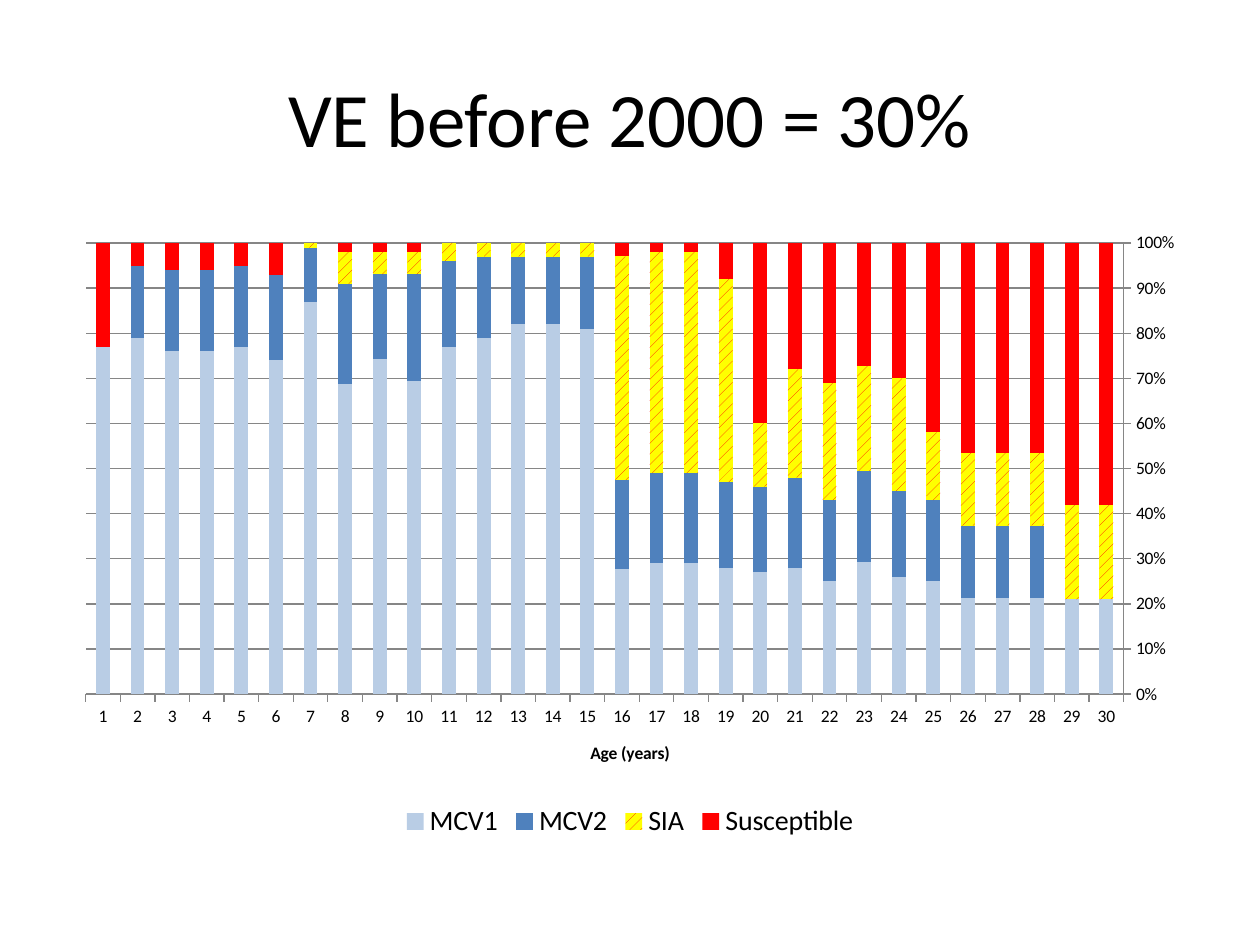
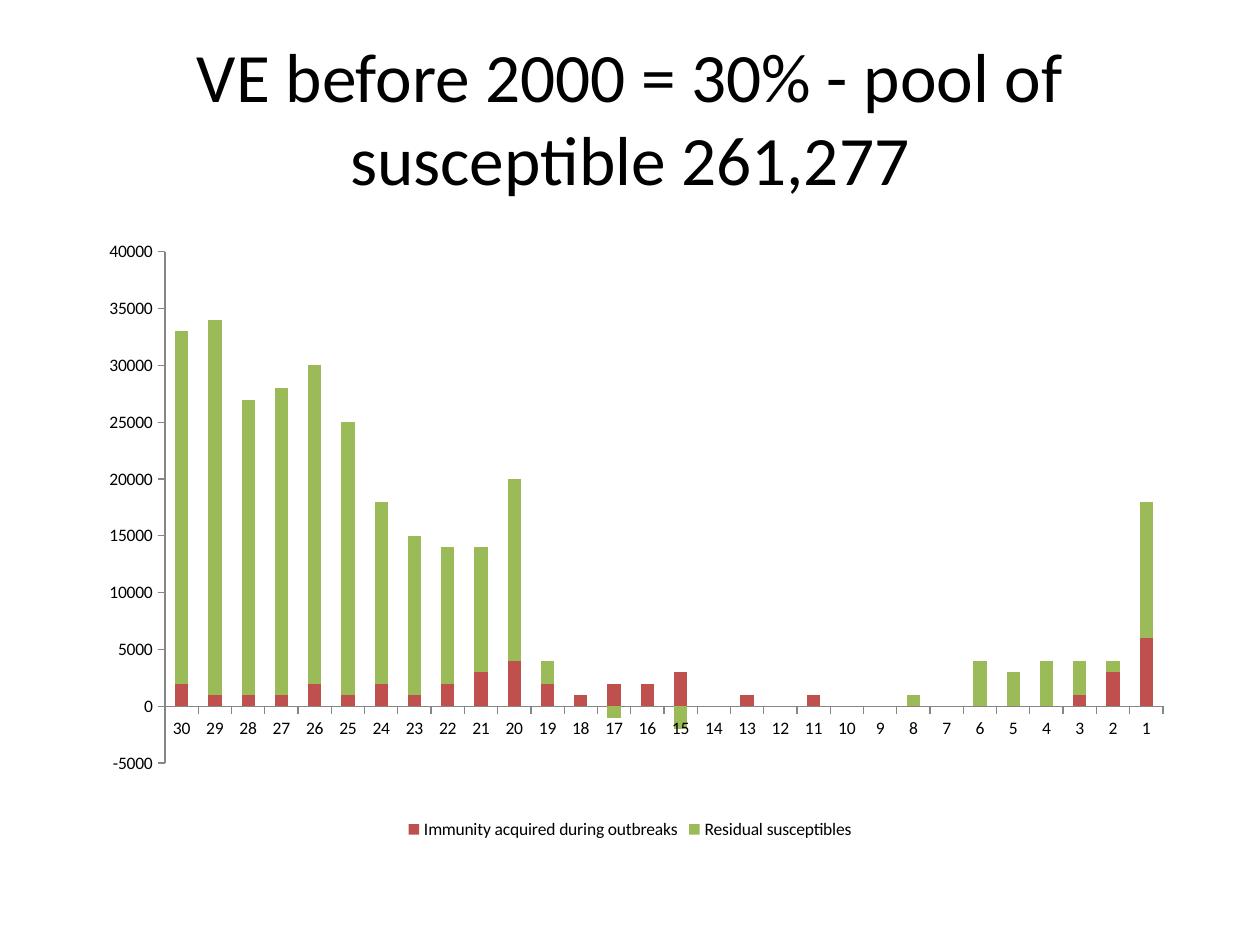
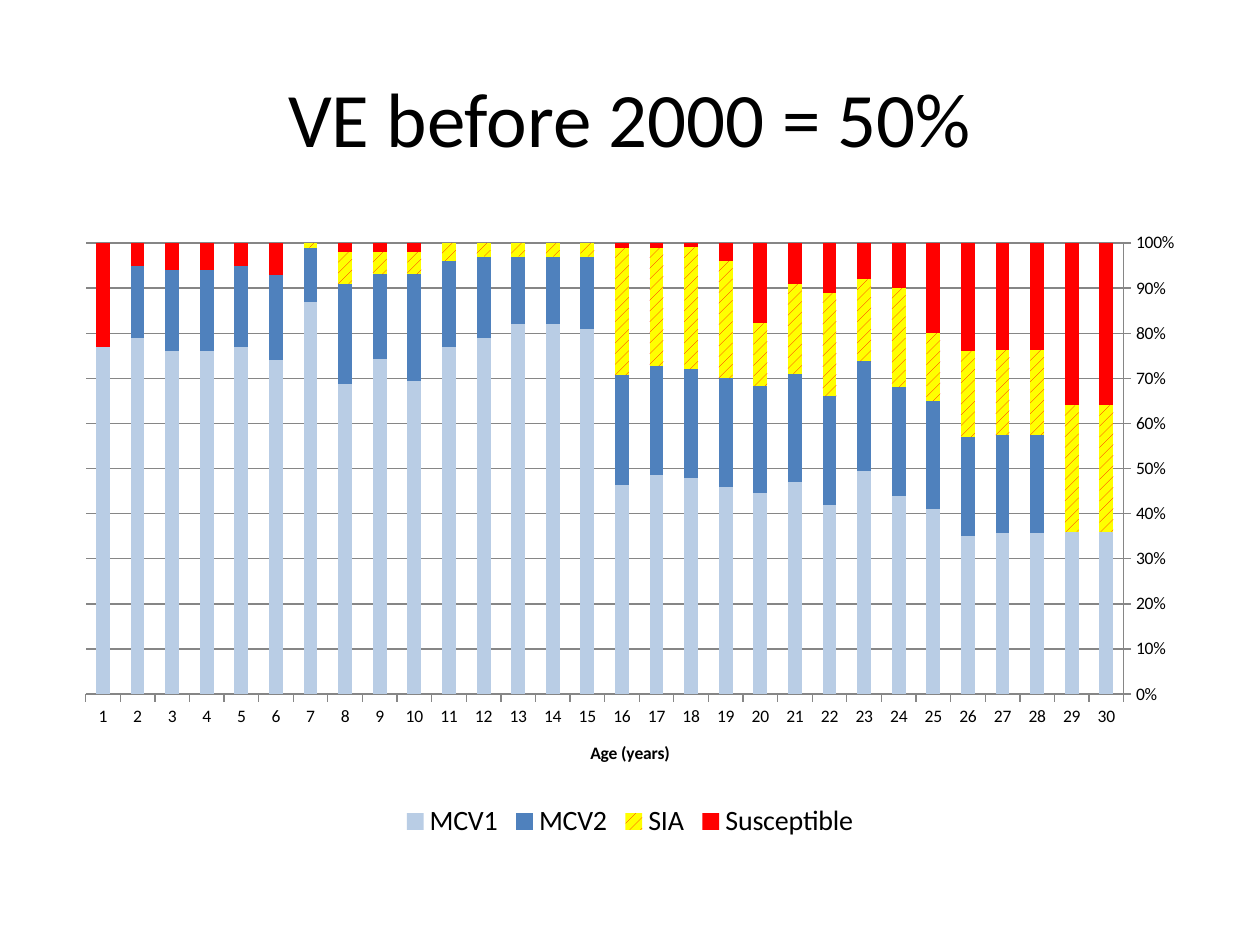
from dataclasses import dataclass

from lxml.etree import SubElement
from pptx import Presentation
from pptx.chart.data import CategoryChartData
from pptx.dml.color import RGBColor
from pptx.enum.chart import XL_CHART_TYPE, XL_LEGEND_POSITION, XL_TICK_MARK
from pptx.enum.dml import MSO_PATTERN
from pptx.enum.text import MSO_ANCHOR, PP_ALIGN
from pptx.oxml.ns import qn
from pptx.util import Cm, Pt


@dataclass(frozen=True)
class Theme:
    font: str = "Calibri"
    text: str = "000000"
    axis: str = "868686"
    first_dose: str = "B9CDE5"
    second_dose: str = "4F81BD"
    campaign: str = "FFFF00"
    susceptible: str = "FF0000"
    outbreak: str = "C0504D"
    residual: str = "9BBB59"
    title_size: float = 44
    long_title_size: float = 39.6
    chart_size: float = 10
    large_legend_size: float = 16


THEME = Theme()
LEFT, WIDTH = Cm(1.27), Cm(22.86)
AGES = [str(age) for age in range(30, 0, -1)]


def rgb(code):
    return RGBColor.from_string(code)


class Deck:
    def __init__(self, theme):
        self.theme = theme
        self.presentation = Presentation()
        self.presentation.slide_width = Cm(25.4)
        self.presentation.slide_height = Cm(19.05)
        self.slide = None

    def add_slide(self):
        blank = self.presentation.slide_layouts[6]
        self.slide = self.presentation.slides.add_slide(blank)

    def style_font(self, font, size, bold=False):
        font.name = self.theme.font
        font.size = Pt(size)
        font.bold = bold
        font.color.rgb = rgb(self.theme.text)

    def title(self, wording, size):
        frame = self.slide.shapes.add_textbox(
            LEFT, Cm(0.76), WIDTH, Cm(3.18)).text_frame
        frame.word_wrap = True
        frame.vertical_anchor = MSO_ANCHOR.MIDDLE
        frame.text = wording
        heading = frame.paragraphs[0]
        heading.alignment = PP_ALIGN.CENTER
        self.style_font(heading.runs[0].font, size)

    def stacked_columns(self, kind, series, colours, legend_size):
        data = CategoryChartData()
        data.categories = AGES
        for label, values in series.items():
            data.add_series(label, values)
        chart = self.slide.shapes.add_chart(
            kind, LEFT, Cm(4.45), WIDTH, Cm(12.57), data).chart
        chart.has_title = False
        self.style_font(chart.font, self.theme.chart_size)
        chart.has_legend = True
        chart.legend.position = XL_LEGEND_POSITION.BOTTOM
        chart.legend.include_in_layout = False
        self.style_font(chart.legend.font, legend_size)
        plot = chart.plots[0]
        plot.gap_width = 150
        plot.overlap = 100
        plot.vary_by_categories = False
        for columns, colour in zip(plot.series, colours):
            columns.invert_if_negative = False
            columns.format.fill.solid()
            columns.format.fill.fore_color.rgb = rgb(colour)
        for axis in (chart.category_axis, chart.value_axis):
            axis.major_tick_mark = XL_TICK_MARK.OUTSIDE
            axis.minor_tick_mark = XL_TICK_MARK.NONE
            axis.has_major_gridlines = False
            self.style_line(axis.format.line)
        return chart

    def style_line(self, line):
        line.color.rgb = rgb(self.theme.axis)
        line.width = Pt(0.75)

    def immunity_chart(self, series):
        theme = self.theme
        chart = self.stacked_columns(
            XL_CHART_TYPE.COLUMN_STACKED_100, series,
            (theme.first_dose, theme.second_dose, theme.campaign,
             theme.susceptible), theme.large_legend_size)
        hatching = chart.plots[0].series[2].format.fill
        hatching.patterned()
        hatching.pattern = MSO_PATTERN.DASHED_UPWARD_DIAGONAL
        hatching.fore_color.rgb = rgb(theme.susceptible)
        hatching.back_color.rgb = rgb(theme.campaign)
        ages, shares = chart.category_axis, chart.value_axis
        ages.reverse_order = True
        caption = ages.axis_title.text_frame
        caption.text = "Age (years)"
        self.style_font(caption.paragraphs[0].runs[0].font,
                        theme.chart_size, bold=True)
        shares.has_major_gridlines = True
        self.style_line(shares.major_gridlines.format.line)
        shares.major_unit = 0.1
        shares.tick_labels.number_format = "0%"
        shares.tick_labels.number_format_is_linked = False

    def susceptible_chart(self, series):
        chart = self.stacked_columns(
            XL_CHART_TYPE.COLUMN_STACKED, series,
            (self.theme.outbreak, self.theme.residual), self.theme.chart_size)
        people = chart.value_axis
        people.minimum_scale = -5000
        people.maximum_scale = 40000
        people.major_unit = 5000
        people.tick_labels.number_format = "0"
        people.tick_labels.number_format_is_linked = False
        self.place_plot(chart, x=0.09, y=0.05, w=0.88, h=0.82)

    def place_plot(self, chart, **fractions):
        area = chart.element.find(".//" + qn("c:plotArea"))
        for automatic in area.findall(qn("c:layout")):
            area.remove(automatic)
        layout = SubElement(area, qn("c:layout"))
        area.insert(0, layout)
        manual = SubElement(layout, qn("c:manualLayout"))
        settings = {"layoutTarget": "inner", "xMode": "edge", "yMode": "edge"}
        for tag, value in {**settings, **fractions}.items():
            SubElement(manual, qn("c:" + tag)).set("val", str(value))


RECENT = {
    "MCV1": [81, 82, 82, 79, 77, 70, 75, 68, 86, 74, 77, 76, 76, 79, 77],
    "MCV2": [16, 15, 15, 18, 19, 24, 19, 22, 12, 19, 18, 18, 18, 16, 0],
    "SIA": [3, 3, 3, 3, 4, 5, 5, 7, 1, 0, 0, 0, 0, 0, 0],
    "Susceptible": [0, 0, 0, 0, 0, 2, 2, 2, 0, 7, 5, 6, 6, 5, 23],
}
BEFORE_2000_AT_30 = {
    "MCV1": [21, 21, 21, 21, 21, 25, 26, 29, 25, 28, 27, 28, 29, 29, 28],
    "MCV2": [0, 0, 16, 16, 16, 18, 19, 20, 18, 20, 19, 19, 20, 20, 20],
    "SIA": [21, 21, 16, 16, 16, 15, 25, 23, 26, 24, 14, 45, 49, 49, 50],
    "Susceptible": [58, 58, 46, 46, 46, 42, 30, 27, 31, 28, 40, 8, 2, 2, 3],
}
BEFORE_2000_AT_50 = {
    "MCV1": [36, 36, 36, 36, 35, 41, 44, 49, 42, 47, 45, 46, 48, 48, 46],
    "MCV2": [0, 0, 22, 22, 22, 24, 24, 24, 24, 24, 24, 24, 24, 24, 24],
    "SIA": [28, 28, 19, 19, 19, 15, 22, 18, 23, 20, 14, 26, 27, 26, 28],
    "Susceptible": [36, 36, 24, 24, 24, 20, 10, 8, 11, 9, 18, 4, 1, 1, 1],
}
POOL_THOUSANDS = {
    "Immunity acquired during outbreaks": [
        2, 1, 1, 1, 2, 1, 2, 1, 2, 3, 4, 2, 1, 2, 2,
        3, 0, 1, 0, 1, 0, 0, 0, 0, 0, 0, 0, 1, 3, 6],
    "Residual susceptibles": [
        31, 33, 26, 27, 28, 24, 16, 14, 12, 11, 16, 2, 0, -1, 0,
        -2, 0, 0, 0, 0, 0, 0, 1, 0, 4, 3, 4, 3, 1, 12],
}


def all_ages(older):
    return {source: older[source] + RECENT[source] for source in RECENT}


deck = Deck(THEME)

deck.add_slide()
deck.title("VE before 2000 = 30%", THEME.title_size)
deck.immunity_chart(all_ages(BEFORE_2000_AT_30))

deck.add_slide()
deck.title("VE before 2000 = 30% - pool of susceptible 261,277",
           THEME.long_title_size)
deck.susceptible_chart({
    group: [count * 1000 for count in thousands]
    for group, thousands in POOL_THOUSANDS.items()})

deck.add_slide()
deck.title("VE before 2000 = 50%", THEME.title_size)
deck.immunity_chart(all_ages(BEFORE_2000_AT_50))

deck.presentation.save("out.pptx")
